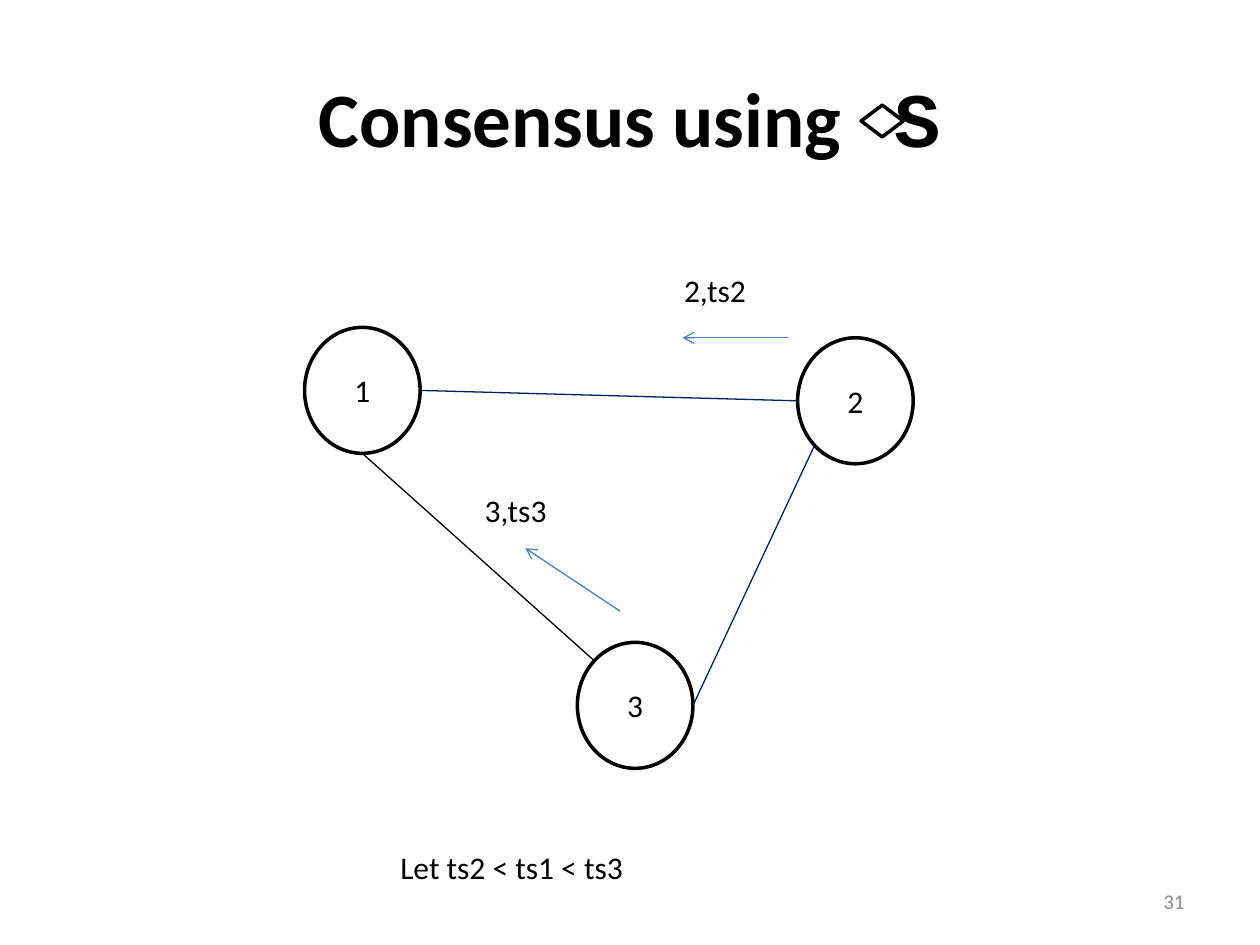
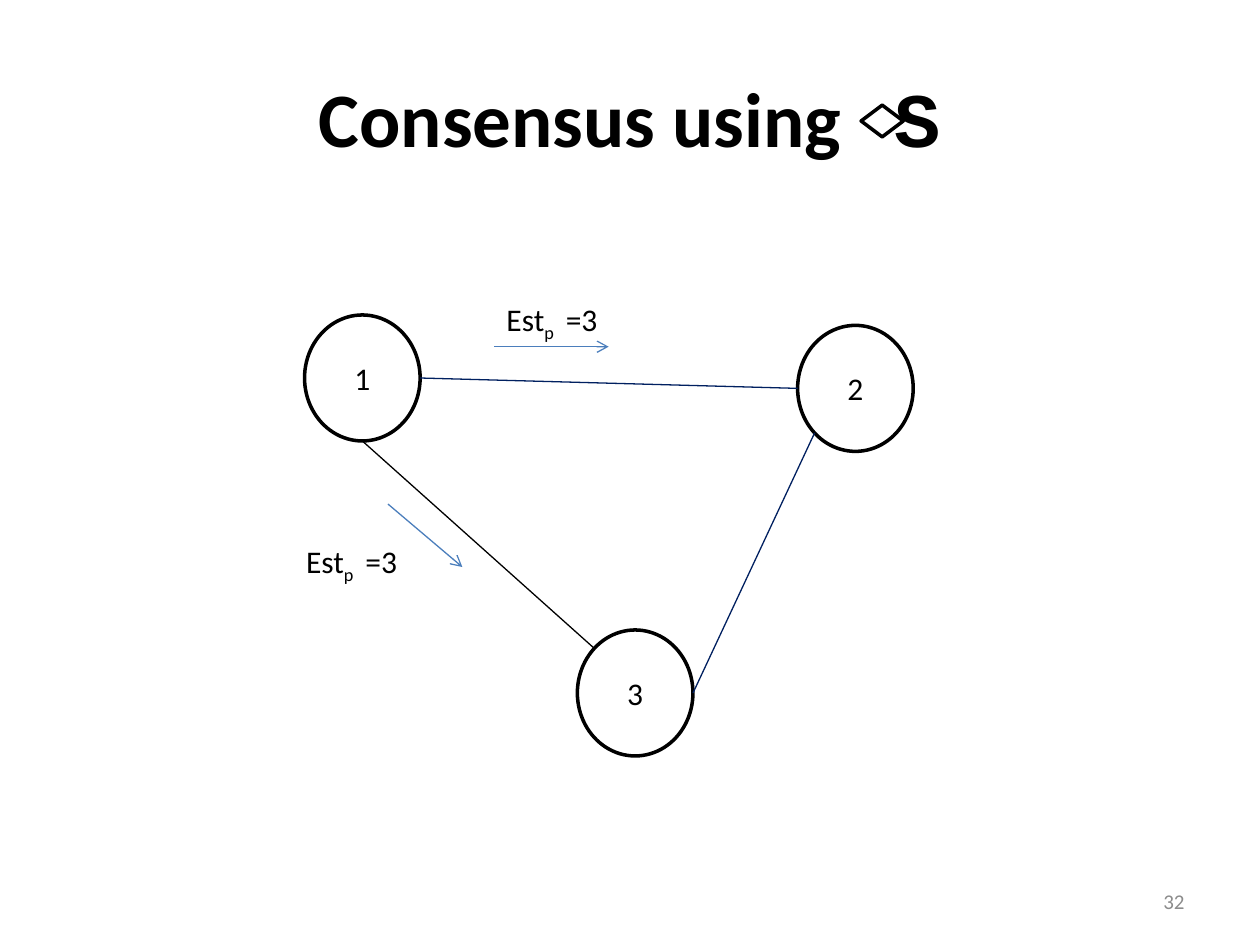
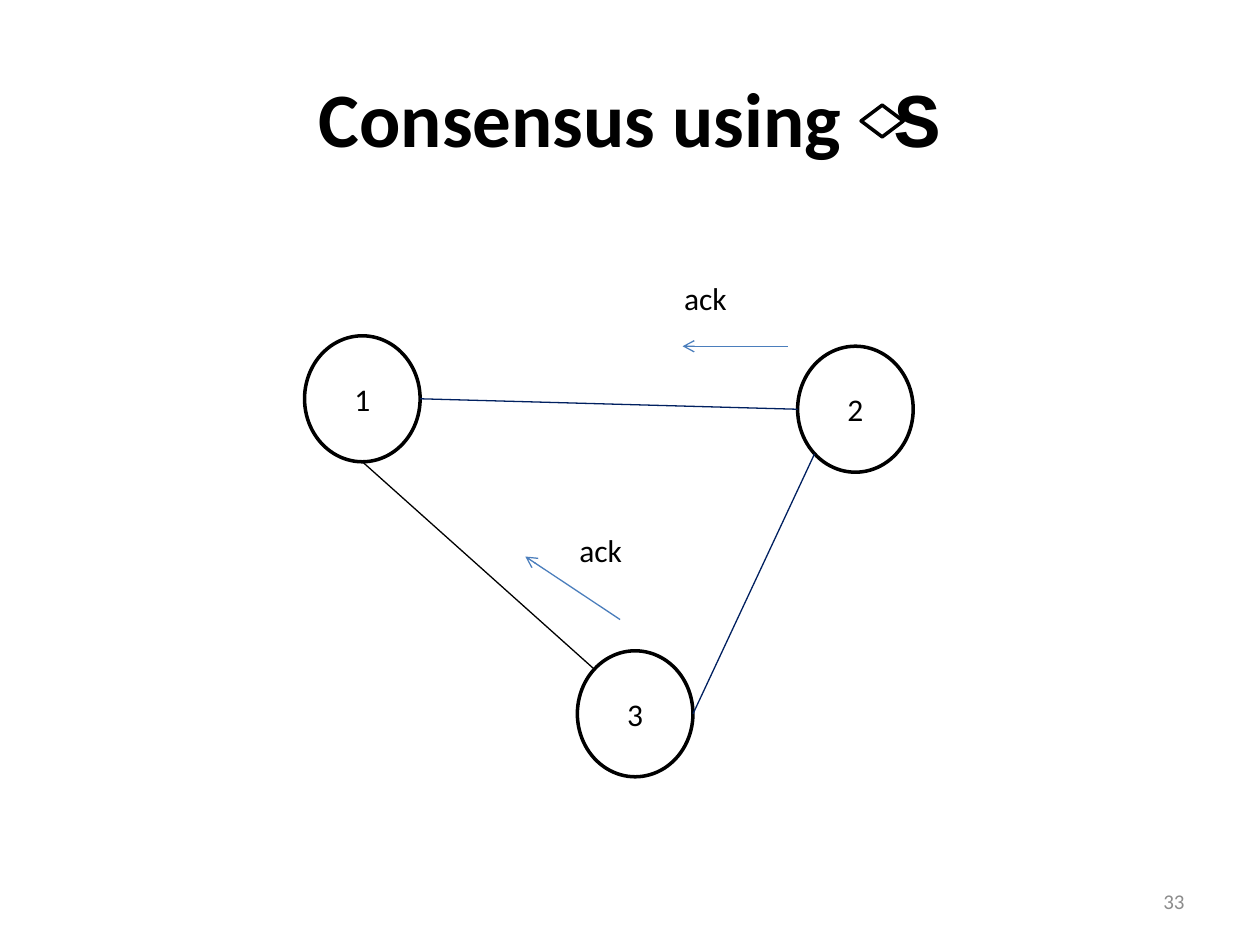
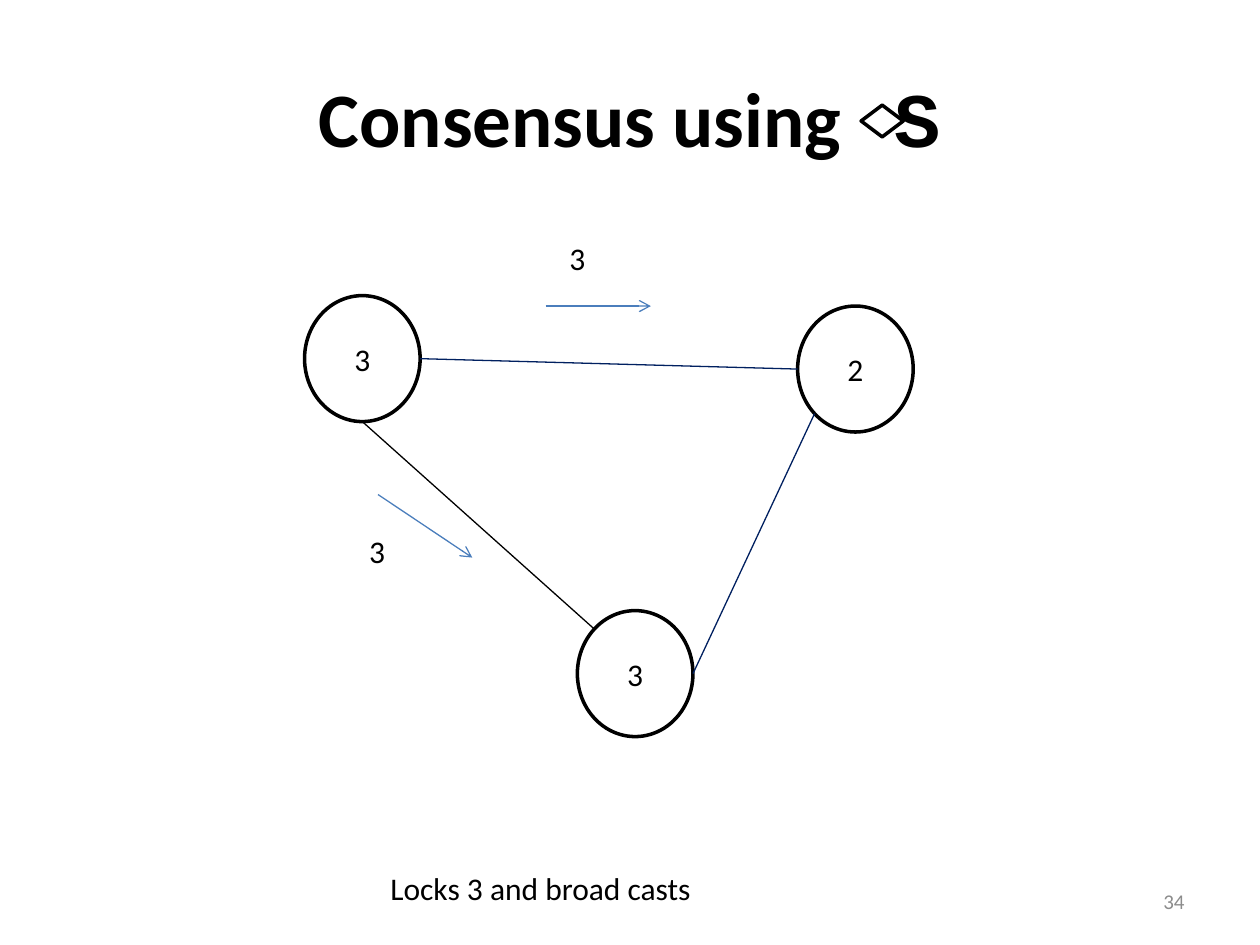
import math

import lxml.etree
import pptx
import pptx.dml.color
import pptx.enum.shapes
import pptx.enum.text
import pptx.oxml.ns
import pptx.util
from pptx.util import Cm, Pt

BLACK = pptx.dml.color.RGBColor(0x00, 0x00, 0x00)
WHITE = pptx.dml.color.RGBColor(0xFF, 0xFF, 0xFF)
NAVY = pptx.dml.color.RGBColor(0x00, 0x20, 0x60)
ARROW_BLUE = pptx.dml.color.RGBColor(0x4B, 0x7E, 0xBC)
GREY = pptx.dml.color.RGBColor(0x8C, 0x8C, 0x8C)

SHAPES = pptx.enum.shapes.MSO_SHAPE
ALIGN = pptx.enum.text.PP_ALIGN
ANCHOR = pptx.enum.text.MSO_ANCHOR

FIRST_NUMBER = 31
TITLE = [
    ("Consensus using", {}),
    (" ", {"spacing": 20}),
    ("S", {"font": "Courier New"}),
]
ESTIMATE = [("Est", {}), ("p", {"baseline": -25, "spacing": 2.7}), (" =3", {})]

NODE_WIDTH, NODE_HEIGHT = 2.33, 2.54
NODE_OFFSETS = {"coordinator": (6.14, 0), "right": (16.08, 0.21), "bottom": (11.64, 6.35)}
ELLIPSE_SITES = ["top", "top left", "left", "bottom left",
                 "bottom", "bottom right", "right", "top right"]
EDGES = [
    ("coordinator", "bottom", "bottom", "top left", BLACK),
    ("bottom", "right", "right", "bottom left", NAVY),
    ("coordinator", "right", "right", "left", NAVY),
]
REPLY_ARROWS = [((15.88, 0.21), (13.76, 0.21)), ((12.5, 5.72), (10.59, 4.45))]

# Messages and arrows are measured from the top of the graph.
STEPS = [
    {
        "top": 6.6,
        "names": ("1", "2", "3"),
        "arrows": REPLY_ARROWS,
        "messages": [("2,ts2", 13.54, -1.27, 2.11), ("3,ts3", 9.52, 3.18, 2.11)],
        "caption": ("Let ts2 < ts1 < ts3", 7.82, 16.97, 5.92),
    },
    {
        "top": 6.35,
        "names": ("1", "2", "3"),
        "arrows": [((9.96, 0.64), (12.27, 0.64)), ((7.82, 3.81), (9.32, 5.08))],
        "messages": [(ESTIMATE, 9.96, -0.43, 2.54), (ESTIMATE, 5.92, 4.45, 2.54)],
    },
    {
        "top": 6.77,
        "names": ("1", "2", "3"),
        "arrows": REPLY_ARROWS,
        "messages": [("ack", 13.54, -1.27, 2.11), ("ack", 11.43, 3.81, 2.11)],
    },
    {
        "top": 5.96,
        "names": ("3", "2", "3"),
        "arrows": [((11, 0.21), (13.12, 0.21)), ((7.62, 4.01), (9.52, 5.28))],
        "messages": [("3", 11.23, -1.27, 1.07), ("3", 7.19, 4.65, 1.07)],
        "caption": ("Locks 3 and broad casts", 7.62, 17.4, 7.62),
    },
]


def write(shape, text, size=18, color=BLACK, bold=False, align=ALIGN.LEFT, anchor=ANCHOR.TOP):
    frame = shape.text_frame
    frame.word_wrap = True
    frame.vertical_anchor = anchor
    paragraph = frame.paragraphs[0]
    paragraph.alignment = align
    paragraph.font.name = "Calibri"
    paragraph.font.size = Pt(size)
    paragraph.font.bold = bold
    paragraph.font.color.rgb = color
    for words, style in [(text, {})] if isinstance(text, str) else text:
        run = paragraph.add_run()
        run.text = words
        if "font" in style:
            run.font.name = style["font"]
        properties = run._r.get_or_add_rPr()
        if "baseline" in style:
            properties.set("baseline", str(style["baseline"] * 1000))
        if "spacing" in style:
            properties.set("spc", str(round(style["spacing"] * 100)))


def add_text(slide, text, left, top, width, height=1.02, **style):
    box = slide.shapes.add_textbox(Cm(left), Cm(top), Cm(width), Cm(height))
    write(box, text, **style)


def add_outline(slide, kind, left, top, width, height):
    shape = slide.shapes.add_shape(kind, Cm(left), Cm(top), Cm(width), Cm(height))
    shape.shadow.inherit = False
    shape.fill.background()
    shape.line.color.rgb = BLACK
    shape.line.width = Pt(2)
    return shape


def add_line(slide, start, end, color, arrow=False):
    connector = slide.shapes.add_connector(
        pptx.enum.shapes.MSO_CONNECTOR.STRAIGHT, *(Cm(length) for length in start + end))
    connector.line.color.rgb = color
    connector.line.width = Pt(0.75)
    if arrow:
        lxml.etree.SubElement(
            connector.line._get_or_add_ln(), pptx.oxml.ns.qn("a:tailEnd"), type="arrow")
    lxml.etree.SubElement(connector._element.spPr, pptx.oxml.ns.qn("a:effectLst"))
    return connector


def site_point(corner, site):
    angle = math.radians(90 + 45 * ELLIPSE_SITES.index(site))
    left, top = corner
    return (left + NODE_WIDTH / 2 * (1 + math.cos(angle)),
            top + NODE_HEIGHT / 2 * (1 - math.sin(angle)))


def join(connector, ends):
    properties = connector._element.nvCxnSpPr.cNvCxnSpPr
    for tag, (node, site) in zip(("a:stCxn", "a:endCxn"), ends):
        lxml.etree.SubElement(properties, pptx.oxml.ns.qn(tag),
                              id=str(node.shape_id), idx=str(ELLIPSE_SITES.index(site)))


def add_graph(slide, top, names):
    corners = {role: (left, top + offset) for role, (left, offset) in NODE_OFFSETS.items()}
    nodes = {}
    for (role, corner), name in zip(corners.items(), names):
        node = add_outline(slide, SHAPES.OVAL, *corner, NODE_WIDTH, NODE_HEIGHT)
        node.fill.solid()
        node.fill.fore_color.rgb = WHITE
        write(node, name, align=ALIGN.CENTER, anchor=ANCHOR.MIDDLE)
        nodes[role] = node
    for first, first_site, second, second_site, color in EDGES:
        edge = add_line(slide, site_point(corners[first], first_site),
                        site_point(corners[second], second_site), color)
        join(edge, [(nodes[first], first_site), (nodes[second], second_site)])


def add_step(presentation, number, step):
    slide = presentation.slides.add_slide(presentation.slide_layouts[6])
    top = step["top"]
    add_graph(slide, top, step["names"])
    for (start_x, start_y), (end_x, end_y) in step["arrows"]:
        add_line(slide, (start_x, top + start_y), (end_x, top + end_y), ARROW_BLUE, arrow=True)
    for text, left, offset, width in step["messages"]:
        add_text(slide, text, left, top + offset, width)
    if "caption" in step:
        add_text(slide, *step["caption"])
    add_text(slide, str(number), 18.2, 17.65, 5.93, size=12, color=GREY,
             align=ALIGN.RIGHT, anchor=ANCHOR.MIDDLE)
    add_text(slide, TITLE, 1.27, 0.76, 22.86, 3.18, size=44, bold=True,
             align=ALIGN.CENTER, anchor=ANCHOR.MIDDLE)
    add_outline(slide, SHAPES.DIAMOND, 17.36, 2.12, 0.85, 0.64)


def main():
    presentation = pptx.Presentation()
    presentation.slide_width = Cm(25.4)
    presentation.slide_height = Cm(19.05)
    for number, step in enumerate(STEPS, FIRST_NUMBER):
        add_step(presentation, number, step)
    presentation.save("out.pptx")


if __name__ == "__main__":
    main()
